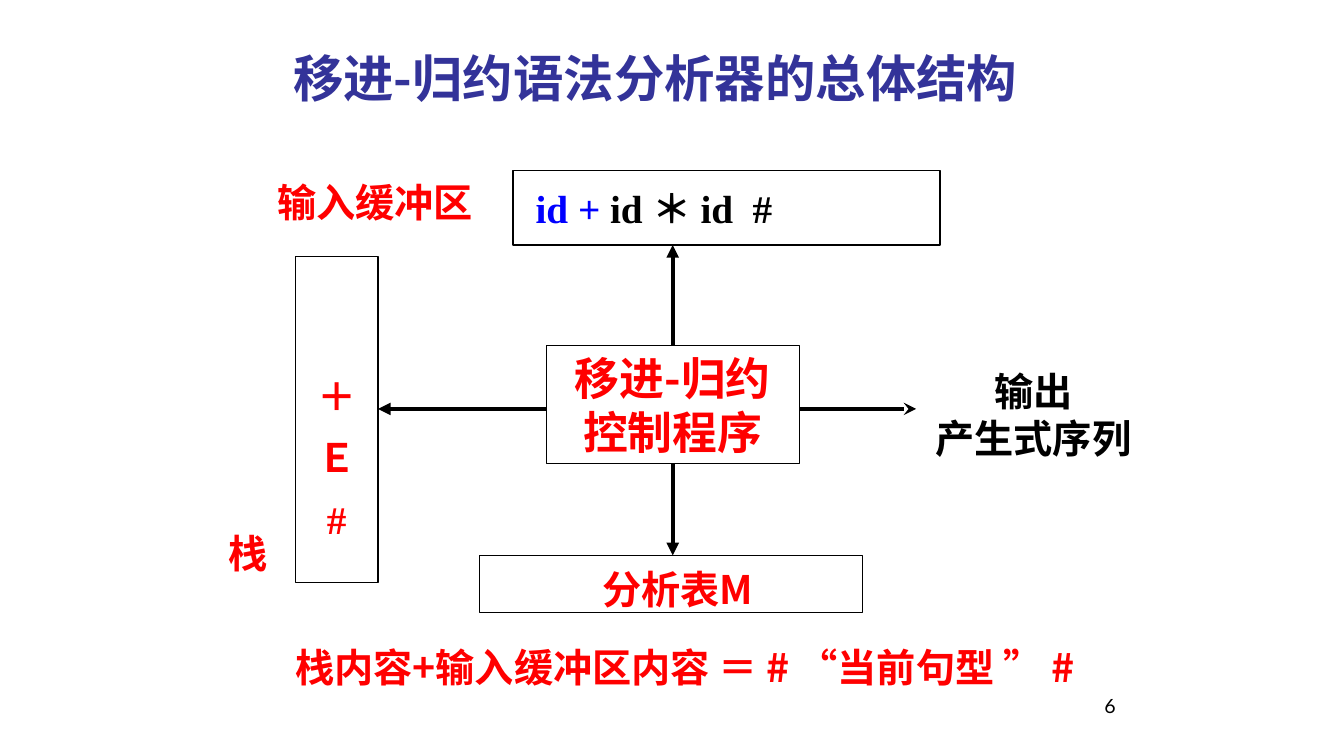
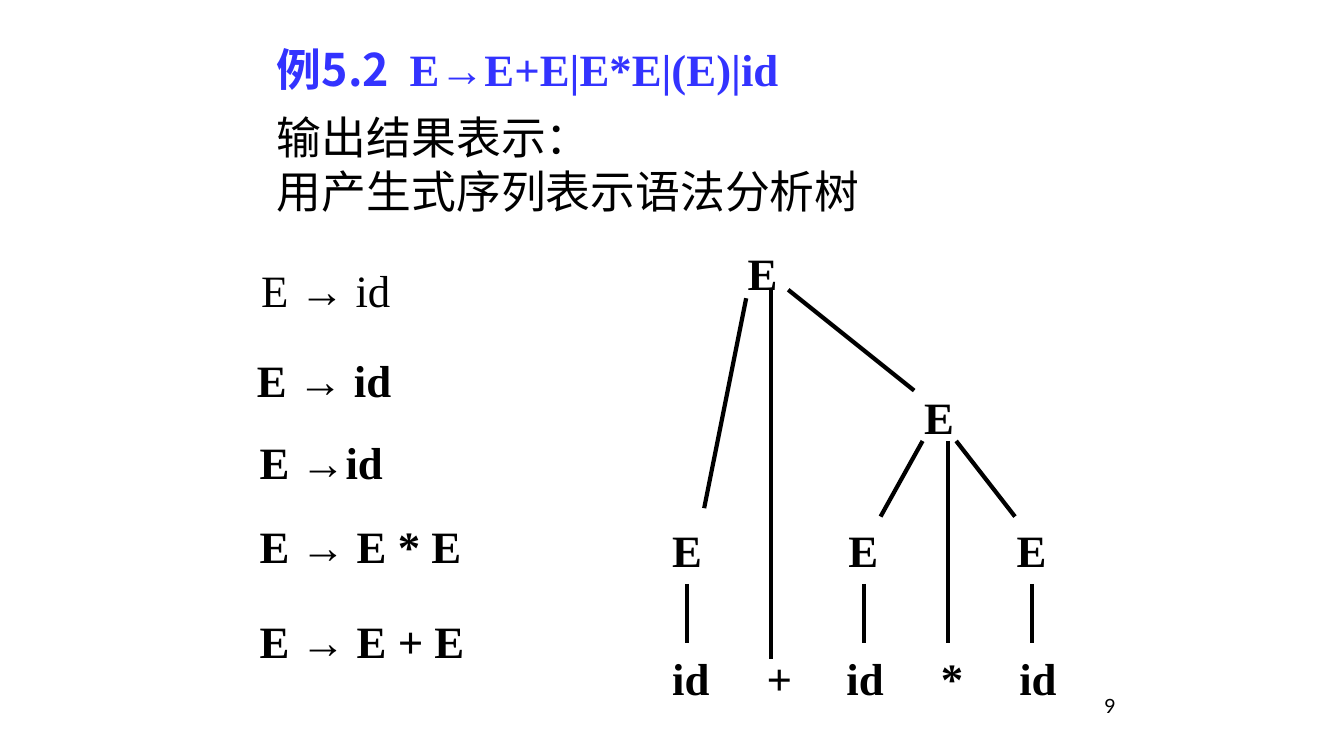
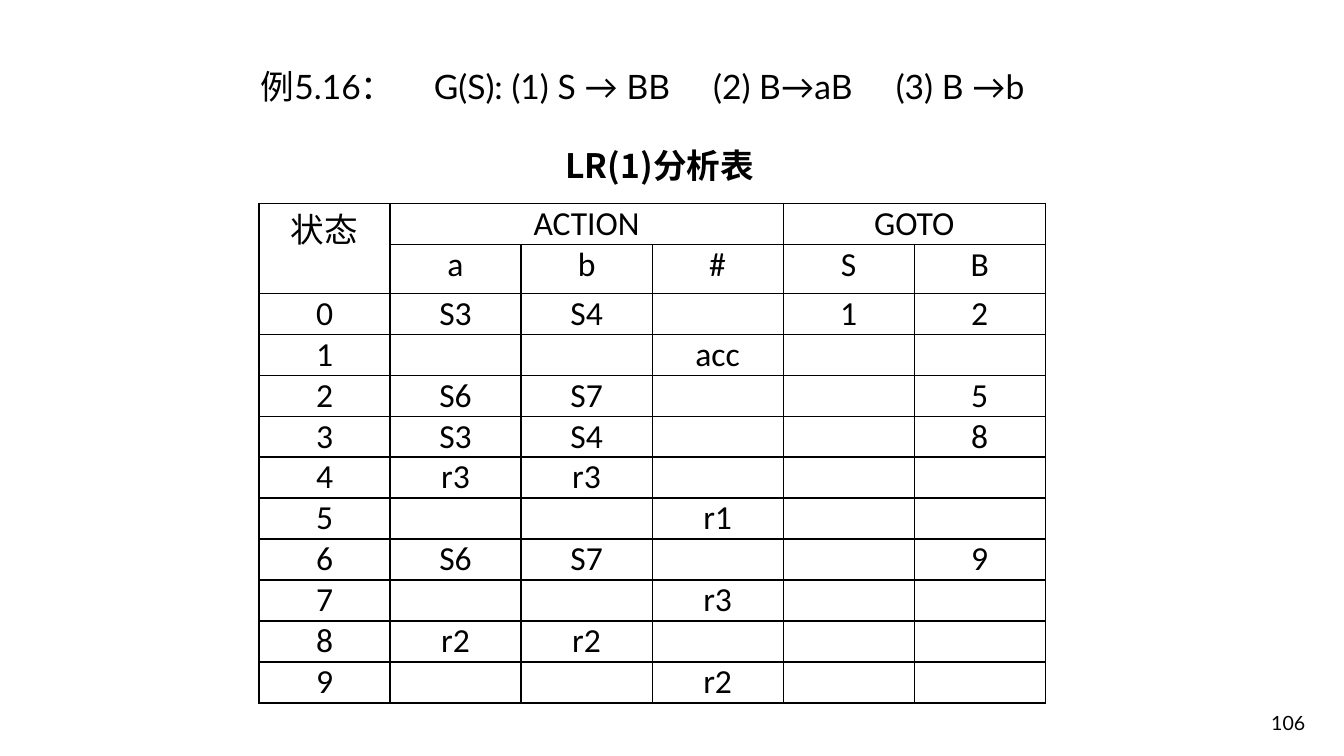
from lxml import etree
from pptx import Presentation
from pptx.dml.color import RGBColor
from pptx.enum.shapes import MSO_CONNECTOR, MSO_SHAPE
from pptx.enum.text import MSO_ANCHOR, PP_ALIGN
from pptx.oxml.ns import qn
from pptx.util import Pt

STRAIGHT = MSO_CONNECTOR.STRAIGHT
RECTANGLE = MSO_SHAPE.RECTANGLE
TOP, MIDDLE, BOTTOM = MSO_ANCHOR.TOP, MSO_ANCHOR.MIDDLE, MSO_ANCHOR.BOTTOM
LEFT, CENTER, RIGHT = PP_ALIGN.LEFT, PP_ALIGN.CENTER, PP_ALIGN.RIGHT

SANS, SERIF, LATO, TABLE_FONT = "Noto Sans CJK JP", "Times New Roman", "Lato", "Calibri"
BLACK, RED, BLUE, NAVY, VIOLET = "000000", "FF0000", "0000FF", "333399", "3333FF"


def rgb(value):
    return RGBColor.from_string(value)


def write(frame, lines, size, font=SANS, color=BLACK, bold=False, align=LEFT,
          anchor=TOP, indent=0, tabs=(), spacing=None):
    frame.word_wrap = True
    frame.vertical_anchor = anchor
    for number, line in enumerate(lines):
        paragraph = frame.add_paragraph() if number else frame.paragraphs[0]
        paragraph.alignment = align
        if spacing:
            paragraph.line_spacing = Pt(spacing)
        properties = paragraph._p.get_or_add_pPr()
        if indent:
            properties.set("marL", str(Pt(indent)))
        if tabs:
            stops = etree.SubElement(properties, qn("a:tabLst"))
            for position in tabs:
                etree.SubElement(stops, qn("a:tab"), pos=str(Pt(position)), algn="l")
        style = paragraph.font
        style.size, style.bold, style.name = Pt(size), bold, font
        style.color.rgb = rgb(color)
        etree.SubElement(properties.find(qn("a:defRPr")), qn("a:ea"), typeface=SANS)
        for part in [(line, {})] if isinstance(line, str) else line:
            text, change = part
            run = paragraph.add_run()
            run.text = text
            if "color" in change:
                run.font.color.rgb = rgb(change["color"])
            if "font" in change:
                run.font.name = change["font"]


def add_text(slide, box, lines, size, **style):
    text_box = slide.shapes.add_textbox(*map(Pt, box))
    write(text_box.text_frame, lines, size, **style)


def add_frame(slide, box, lines, size, top_inset=3.6, bottom_inset=3.6, **style):
    frame = slide.shapes.add_shape(RECTANGLE, *map(Pt, box))
    frame.shadow.inherit = False
    frame.fill.background()
    frame.line.color.rgb = rgb(BLACK)
    frame.line.width = Pt(1)
    frame.text_frame.margin_top = Pt(top_inset)
    frame.text_frame.margin_bottom = Pt(bottom_inset)
    write(frame.text_frame, lines, size, bold=True, **style)


def add_line(slide, start, end, head=None):
    line = slide.shapes.add_connector(STRAIGHT, *map(Pt, (*start, *end)))
    line.line.color.rgb = rgb(BLACK)
    line.line.width = Pt(3)
    if head:
        etree.SubElement(line.line._get_or_add_ln(), qn("a:tailEnd"), type=head)
    etree.SubElement(line._element.spPr, qn("a:effectLst"))


def add_page_number(slide, number, box=(636, 492, 168, 37), anchor=TOP):
    add_text(slide, box, [number], 14, font=LATO, align=RIGHT, anchor=anchor)


def parser_diagram(slide, left, top):
    def place(x, y, width, height):
        return left + x, top + y, width, height

    buffer = place(210.5, 1.7, 305, 53.3)
    stack = place(55, 63, 59, 233.2)
    control = place(234.2, 127, 180.7, 84.2)
    table = place(186.7, 276.7, 273.6, 41)

    add_frame(slide, buffer, [[("id + ", {"color": BLUE}), ("id ＊ id  #", {})]], 28,
              font=SERIF, anchor=MIDDLE, indent=9)
    add_frame(slide, stack, ["＋", "Ｅ", "#"], 28, font=SERIF, color=RED, align=CENTER,
              anchor=BOTTOM, spacing=44, bottom_inset=29)
    add_frame(slide, control, ["移进-归约", "控制程序"], 32, color=RED, align=CENTER,
              anchor=MIDDLE)
    add_frame(slide, table, ["分析表M"], 28, color=RED, align=CENTER, anchor=MIDDLE,
              indent=9, top_inset=10.6)

    red_label = {"color": RED, "bold": True}
    add_text(slide, place(34.8, 4, 167, 51), ["输入缓冲区"], 28, **red_label)
    add_text(slide, place(0.2, 254.4, 48, 41), ["栈"], 28, **red_label)
    add_text(slide, place(47.8, 335.8, 594, 41),
             ["栈内容+输入缓冲区内容 ＝ # “当前句型 ” #"], 28, **red_label)
    add_text(slide, place(500, 138.5, 164.2, 74.2), ["输出", "产生式序列"], 28,
             bold=True, align=CENTER)

    x, y, width, height = control
    middle_x, middle_y = x + width / 2, y + height / 2 + 3
    add_line(slide, (middle_x, y), (middle_x, buffer[1] + buffer[3]), "triangle")
    add_line(slide, (middle_x, y + height), (middle_x, table[1]), "triangle")
    add_line(slide, (x, middle_y), (stack[0] + stack[2], middle_y), "triangle")
    add_line(slide, (x + width, middle_y), (x + width + 83.5, middle_y), "stealth")


def derivation_list(slide, left, top):
    steps = [("E → id", 3, 0, False), ("E → id", 0, 64, True), ("E →id", 2, 123, True),
             ("E → E * E", 2, 183, True), ("E → E + E", 2, 250.5, True)]
    for rule, x, y, bold in steps:
        add_text(slide, (left + x, top + y, 180, 45), [rule], 32, font=SERIF, bold=bold)


def parse_tree(slide, left, top):
    leaf_parents = [0, 126, 246]
    nodes = [(54, 0), (180, 103)] + [(x, 198) for x in leaf_parents]
    edges = [((60, 41), (30, 191)), ((78, 35), (78, 299)), ((90, 35), (180, 107)),
             ((186, 143), (156, 197)), ((204, 143), (204, 287)), ((210, 143), (252, 197))]
    edges += [((x + 18, 245), (x + 18, 287)) for x in leaf_parents]
    for x, y in nodes:
        add_text(slide, (left + x, top + y, 40, 45), ["E"], 32, font=SERIF, bold=True)
    add_text(slide, (left, top + 289, 300, 45), ["id\t+\tid\t*\tid"], 32, font=SERIF,
             bold=True, tabs=(67.5, 124.5, 192, 248))
    for (x1, y1), (x2, y2) in edges:
        add_line(slide, (left + x1, top + y1), (left + x2, top + y2))


def border_cell(cell):
    properties = cell._tc.get_or_add_tcPr()
    for side in ("lnL", "lnR", "lnT", "lnB"):
        border = etree.SubElement(properties, qn(f"a:{side}"), w=str(Pt(1)))
        fill = etree.SubElement(border, qn("a:solidFill"))
        etree.SubElement(fill, qn("a:srgbClr"), val=BLACK)
    cell.fill.background()


def parsing_table(slide, left, top, width):
    rows = [
        ["状态", "ACTION", "", "", "GOTO", ""],
        ["", "a", "b", "#", "S", "B"],
        ["0", "S3", "S4", "", "1", "2"],
        ["1", "", "", "acc", "", ""],
        ["2", "S6", "S7", "", "", "5"],
        ["3", "S3", "S4", "", "", "8"],
        ["4", "r3", "r3", "", "", ""],
        ["5", "", "", "r1", "", ""],
        ["6", "S6", "S7", "", "", "9"],
        ["7", "", "", "r3", "", ""],
        ["8", "r2", "r2", "", "", ""],
        ["9", "", "", "r2", "", ""],
    ]
    row_height, symbol_height = 29.3, 34.7
    height = row_height * (len(rows) - 1) + symbol_height
    table = slide.shapes.add_table(len(rows), len(rows[0]), Pt(left), Pt(top),
                                   Pt(width), Pt(height)).table
    table.first_row = table.horz_banding = False
    for column in table.columns:
        column.width = Pt(width / len(rows[0]))
    for r, values in enumerate(rows):
        table.rows[r].height = Pt(symbol_height if r == 1 else row_height)
        for c, value in enumerate(values):
            cell = table.cell(r, c)
            cell.margin_left = cell.margin_right = Pt(5)
            cell.margin_top = cell.margin_bottom = Pt(0)
            border_cell(cell)
            write(cell.text_frame, [value] if value else [[]], 24, font=TABLE_FONT,
                  align=CENTER)
    for first, last in [((0, 0), (1, 0)), ((0, 1), (0, 3)), ((0, 4), (0, 5))]:
        table.cell(*first).merge(table.cell(*last))


def structure_slide(slide):
    add_page_number(slide, "6")
    add_text(slide, (202.3, 28, 612, 54.7), ["移进-归约语法分析器的总体结构"], 36,
             color=NAVY, bold=True, anchor=MIDDLE)
    parser_diagram(slide, 156, 120)


def derivation_slide(slide):
    add_page_number(slide, "9")
    add_text(slide, (190.8, 31.7, 493, 170), ["输出结果表示：", "用产生式序列表示语法分析树"],
             32, anchor=MIDDLE)
    add_text(slide, (190.8, 26, 454, 46),
             [[("例5.2  ", {}), ("E→E+E|E*E|(E)|id", {"font": SERIF})]], 32,
             color=VIOLET, bold=True)
    derivation_list(slide, 176.4, 184.3)
    parse_tree(slide, 473, 172)


def table_slide(slide):
    add_page_number(slide, "106", (739.5, 492, 200, 36), BOTTOM)
    add_text(slide, (179.3, 43.2, 620, 36),
             ["例5.16：\tG(S): (1) S → BB\t(2) B→aB\t(3) B →b"], 24, font=LATO,
             tabs=(123.5, 323, 453.5))
    add_text(slide, (360.7, 100, 221, 36), ["LR(1)分析表"], 24, bold=True, align=CENTER)
    parsing_table(slide, 185, 145.4, 561.6)


def main():
    deck = Presentation()
    deck.slide_width, deck.slide_height = Pt(960), Pt(540)
    for build in (structure_slide, derivation_slide, table_slide):
        build(deck.slides.add_slide(deck.slide_layouts[6]))
    deck.save("out.pptx")


if __name__ == "__main__":
    main()
